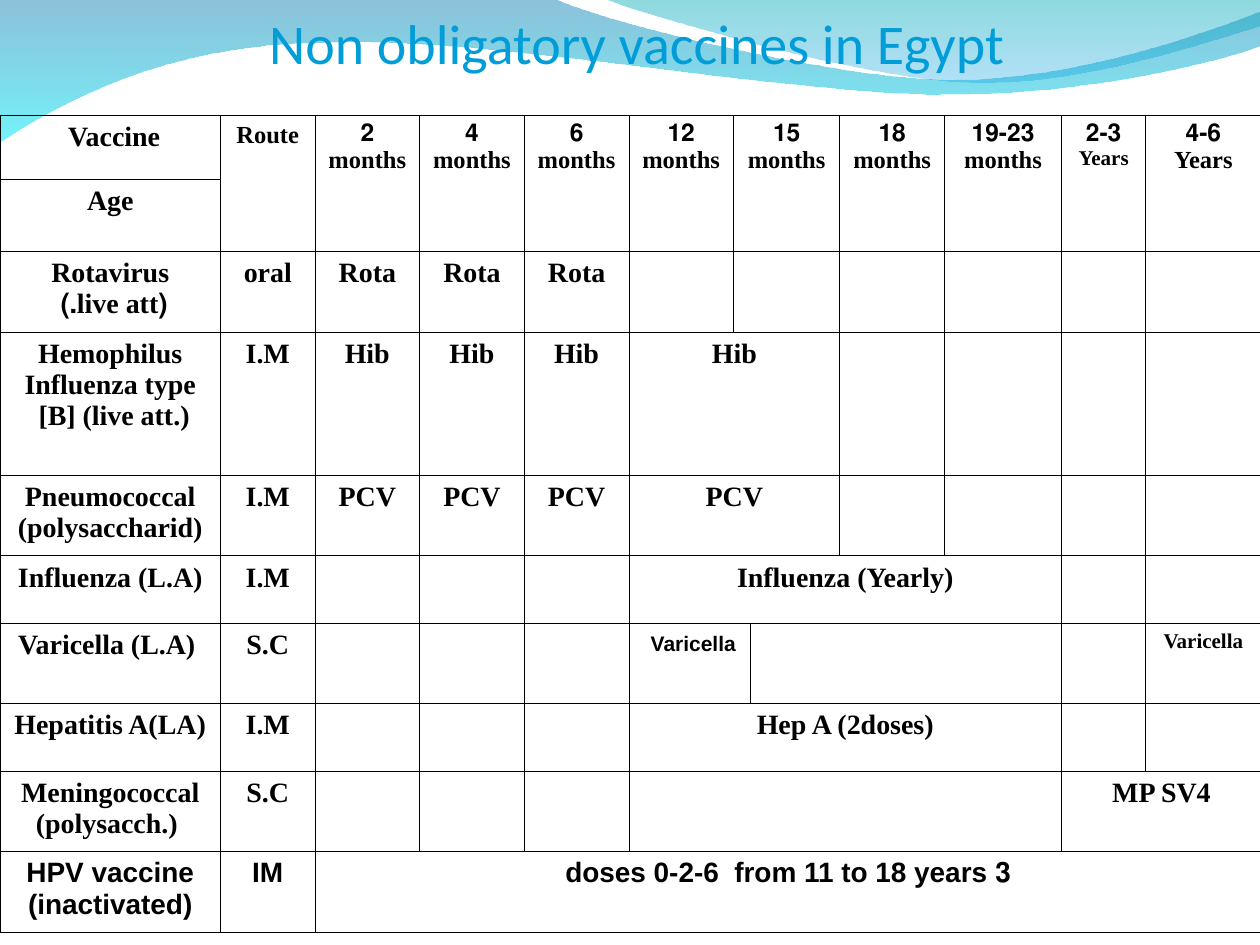
from typing import NamedTuple
from lxml.etree import SubElement as Sub
from pptx import Presentation as Deck
from pptx.dml.color import RGBColor as Rgb
from pptx.enum.text import MSO_ANCHOR as Anchor, PP_ALIGN as Align
from pptx.oxml.ns import qn
from pptx.util import Pt

HUES = {"title": "009DD9", "ink": "000000", "navy": "0079AF",
        "cyan": "00EBF8", "teal": "00ADB6", "blue": "009BE5"}
TIMES, ARIAL = "Times New Roman", "Arial"
COLS = [126, 54, 59.8, 59.8, 59.8, 59.8, 9.4, 51.4, 59.8, 67, 48, 66]
ROWS = [36.7, 41, 46, 82, 46, 38.5, 46, 38.5, 46, 46]


class Stop(NamedTuple):
    hue: str
    alpha: int


class Wave(NamedTuple):
    start: tuple
    steps: list
    stops: tuple


class Entry(NamedTuple):
    row: int
    col: int
    lines: list
    wide: int = 1
    tall: int = 1
    sizes: tuple = (16, 16)
    font: str = TIMES
    rtl: bool = True
    tail: str = ""


WAVES = [
    Wave((0, -0.7), [
        [(316.8, -0.7)],
        [(342.7, 12.2), (478.1, 45.4), (545.8, 45.4)],
        [(614.2, 45.4), (689.8, 18.7), (720, 6.5)],
        [(720.7, 25.9)],
        [(707.8, 31.7), (626.4, 54.7), (537.1, 54)],
        [(446.4, 54), (275, 20.2), (185, 24.5)],
        [(92.9, 25.2), (33.1, 59.8), (-0.7, 81.4)],
        [(0, -0.7)],
    ], (Stop("navy", 45), Stop("cyan", 55))),
    Wave((344.9, -0.7), [
        [(366.5, 7.9), (491, 44.6), (553.7, 46.8)],
        [(616.3, 49.7), (691.9, 23), (720, 15.1)],
        [(720, 0)],
        [(344.9, -0.7)],
    ], (Stop("teal", 45), Stop("blue", 30))),
]

HEADS = [(1, ["Route "], 14), (2, ["2", "months "], 14), (3, ["4", "months"], 14),
         (4, ["6", "months"], 14), (5, ["12", "months"], 14), (6, ["15", "months"], 14),
         (8, ["18", "months"], 14), (9, ["19-23", "months"], 14),
         (10, ["2-3", "Years"], 12), (11, ["4-6", "Years"], 14)]
NAMES = [["Rotavirus", "(live att.) "], ["Hemophilus", "Influenza type [B] (live att.) "],
         ["Pneumococcal", "(polysaccharid)"], ["Influenza (L.A)"], ["Varicella (L.A) "],
         ["Hepatitis A(LA)"], ["Meningococcal", "(polysacch.) "]]
ROUTES = ["oral", "I.M", "I.M", "I.M", "S.C", "I.M", "S.C"]
DOSES = ["Rota", "Hib", "PCV"]

CELLS = [
    Entry(0, 0, ["Vaccine "]), Entry(1, 0, ["Age"]),
    *[Entry(0, col, lines, 2 if col == 6 else 1, 2, (14, size))
      for col, lines, size in HEADS],
    *[Entry(row, 0, lines, rtl=row < 4) for row, lines in enumerate(NAMES, 2)],
    *[Entry(row, 1, [text]) for row, text in enumerate(ROUTES, 2)],
    *[Entry(row, col, [text]) for row, text in enumerate(DOSES, 2) for col in (2, 3, 4)],
    Entry(2, 6, [], 2),
    Entry(3, 5, ["Hib"], 3), Entry(4, 5, ["PCV"], 3),
    Entry(5, 5, ["Influenza (Yearly)"], 5),
    Entry(6, 5, ["Varicella"], 2, sizes=(12,), font=ARIAL, tail=" "),
    Entry(6, 7, [], 3),
    Entry(6, 11, ["Varicella"], sizes=(12,)),
    Entry(7, 5, ["Hep A (2doses)"], 5),
    Entry(8, 5, [], 5), Entry(8, 10, ["MP SV4"], 2),
    Entry(9, 0, ["HPV vaccine", "(inactivated)"], font=ARIAL, rtl=False),
    Entry(9, 1, ["IM"], font=ARIAL, rtl=False),
    Entry(9, 2, ["3 doses 0-2-6  from 11 to 18 years"], 10, font=ARIAL),
]


def bend(shape, steps: list) -> None:
    lines = iter(list(shape.element.iter(qn("a:lnTo"))))
    for step in steps:
        group = [next(lines) for _ in step]
        if len(group) == 3:
            route = group[0].getparent()
            arc = Sub(route, qn("a:cubicBezTo"))
            route.replace(group[0], arc)
            for line in group:
                arc.append(line[0])
            for line in group[1:]:
                route.remove(line)


def draw_wave(shapes, wave: Wave) -> None:
    spots = [(Pt(x), Pt(y)) for x, y in [wave.start, *sum(wave.steps, [])]]
    pen = shapes.build_freeform(*spots[0], scale=1.0)
    pen.add_line_segments(spots[1:], close=True)
    shape = pen.convert_to_shape()
    bend(shape, wave.steps)
    shape.shadow.inherit = False
    shape.line.fill.background()
    shape.fill.gradient()
    shape.fill.gradient_angle = 270
    for mark, stop, place in zip(shape.fill.gradient_stops, wave.stops, (0, 1)):
        mark.color.rgb = Rgb.from_string(HUES[stop.hue])
        mark.position = place
    for tag, stop in zip(shape.element.spPr.iter(qn("a:srgbClr")), wave.stops):
        Sub(tag, qn("a:alpha"), val=str(stop.alpha * 1000))


def add_run(para, text: str, hue: str, **form) -> None:
    run = para.add_run()
    run.text = text
    for key, value in form.items():
        setattr(run.font, key, value)
    run.font.color.rgb = Rgb.from_string(HUES[hue])


def set_para(para, rtl: bool) -> None:
    para.alignment = Align.CENTER
    if rtl:
        para._p.get_or_add_pPr().set("rtl", "1")


def draw_title(slide) -> None:
    title = slide.shapes.title
    slide.shapes.element.append(title.element)
    for key, value in dict(left=36, top=0, width=648, height=43.2).items():
        setattr(title, key, Pt(value))
    frame = title.text_frame
    form = dict(margin_left=0, margin_top=Pt(3.6), margin_right=0, margin_bottom=0,
                vertical_anchor=Anchor.BOTTOM, word_wrap=True)
    for key, value in form.items():
        setattr(frame, key, value)
    para = frame.paragraphs[0]
    set_para(para, True)
    add_run(para, "Non obligatory vaccines in Egypt ", "title", name="Calibri", size=Pt(32))


def rule_cell(cell) -> None:
    props = cell._tc.get_or_add_tcPr()
    for side in ("lnL", "lnR", "lnT", "lnB"):
        line = Sub(props, qn(f"a:{side}"), w=str(Pt(0.45)))
        Sub(Sub(line, qn("a:solidFill")), qn("a:srgbClr"), val=HUES["ink"])
    cell.fill.background()


def fill_cell(grid, entry: Entry) -> None:
    cell = grid.cell(entry.row, entry.col)
    if entry.wide * entry.tall > 1:
        cell.merge(grid.cell(entry.row + entry.tall - 1, entry.col + entry.wide - 1))
    frame = cell.text_frame
    for i, (text, size) in enumerate(zip(entry.lines, entry.sizes)):
        para = frame.add_paragraph() if i else frame.paragraphs[0]
        set_para(para, entry.rtl)
        add_run(para, text, "ink", name=entry.font, size=Pt(size), bold=True)
        if entry.tail:
            add_run(para, entry.tail, "ink", name=entry.font, size=Pt(16), bold=True)


def draw_grid(shapes) -> None:
    grid = shapes.add_table(len(ROWS), len(COLS), Pt(0), Pt(66),
                            Pt(sum(COLS)), Pt(sum(ROWS))).table
    grid.first_row = grid.horz_banding = False
    for col, width in zip(grid.columns, COLS):
        col.width = Pt(width)
    for row, height in zip(grid.rows, ROWS):
        row.height = Pt(height)
    for cell in grid.iter_cells():
        rule_cell(cell)
    for entry in CELLS:
        fill_cell(grid, entry)


def main() -> None:
    deck = Deck()
    deck.slide_width, deck.slide_height = Pt(720), Pt(540)
    slide = deck.slides.add_slide(deck.slide_layouts[5])
    for wave in WAVES:
        draw_wave(slide.shapes, wave)
    draw_title(slide)
    draw_grid(slide.shapes)
    deck.save("out.pptx")


if __name__ == "__main__":
    main()
